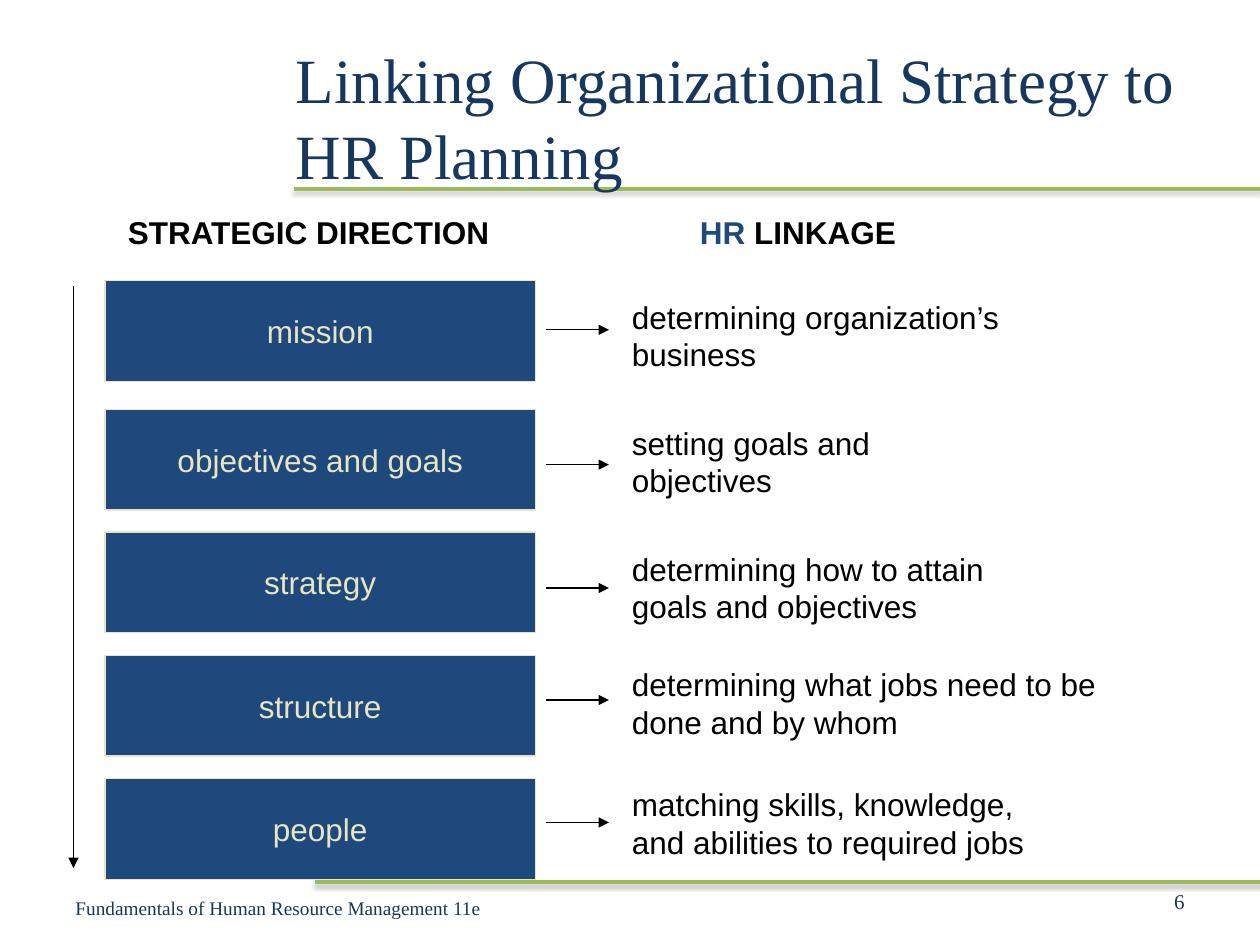
from dataclasses import dataclass

from lxml import etree
from pptx import Presentation
from pptx.dml.color import RGBColor
from pptx.enum.shapes import MSO_CONNECTOR as Connector, MSO_SHAPE as Shape
from pptx.enum.text import MSO_ANCHOR as Anchor, MSO_AUTO_SIZE as AutoSize, PP_ALIGN as Align
from pptx.oxml.ns import qn
from pptx.util import Pt


@dataclass(frozen=True)
class Theme:
    navy: str = "17375E"
    blue: str = "1F497D"
    cream: str = "E6E6C2"
    green: str = "9BBB59"
    black: str = "000000"
    serif: str = "Times New Roman"
    sans: str = "Arial"
    title_size: int = 36
    body_size: int = 18
    number_size: int = 12
    footer_size: int = 11
    rule_width: float = 2
    thin_width: float = 0.75


THEME = Theme()

# Strategic step, its box top, HR linkage, text top, text width, arrow height
STEPS = [
    ("mission", 160.5, "determining organization’s business", 166.5, 270, 188.5),
    ("objectives and goals", 234, "setting goals and objectives", 238.5, 222, 265.5),
    ("strategy", 304, "determining how to attain goals and objectives", 310.5, 246, 336),
    ("structure", 374.5, "determining what jobs need to be done and by whom", 376.5, 282, 400),
    ("people", 445, "matching skills, knowledge, and abilities to required jobs", 445, 252, 470),
]


def write(shape, text, *, color=THEME.black, size=THEME.body_size, font=THEME.sans,
          bold=False, align=Align.LEFT, anchor=Anchor.TOP, wrap=True, grow=False):
    """Fill a shape with text; a list of (text, color) pairs gives coloured runs."""
    frame = shape.text_frame
    frame.word_wrap = wrap
    frame.auto_size = AutoSize.SHAPE_TO_FIT_TEXT if grow else AutoSize.NONE
    frame.vertical_anchor = anchor
    paragraph = frame.paragraphs[0]
    paragraph.alignment = align
    for words, run_color in [(text, color)] if isinstance(text, str) else text:
        run = paragraph.add_run()
        run.text = words
        run.font.name = font
        run.font.size = Pt(size)
        run.font.bold = bold
        run.font.color.rgb = RGBColor.from_string(run_color)


def add_text(shapes, box, text, **style):
    write(shapes.add_textbox(*map(Pt, box)), text, **style)


def add_line(shapes, start, end, color, width):
    """Draw a line and return it with its empty effect list."""
    line = shapes.add_connector(Connector.STRAIGHT, *map(Pt, (*start, *end)))
    line.line.color.rgb = RGBColor.from_string(color)
    line.line.width = Pt(width)
    effects = etree.SubElement(line._element.spPr, qn("a:effectLst"))
    return line, effects


def add_arrow(shapes, start, end):
    line, _ = add_line(shapes, start, end, THEME.black, THEME.thin_width)
    etree.SubElement(line.line._get_or_add_ln(), qn("a:tailEnd"), type="triangle")


def add_rule(shapes, left, right, top):
    """Draw a green rule with a soft shadow below it."""
    _, effects = add_line(shapes, (left, top), (right, top), THEME.green, THEME.rule_width)
    shadow = etree.SubElement(
        effects, qn("a:outerShdw"), blurRad=str(Pt(3.1)), dist=str(Pt(1.6)),
        dir="5400000", rotWithShape="0")
    color = etree.SubElement(shadow, qn("a:srgbClr"), val=THEME.black)
    etree.SubElement(color, qn("a:alpha"), val="38000")


def add_header(shapes, box):
    add_text(shapes, box, "Linking Organizational Strategy to HR Planning",
             color=THEME.navy, size=THEME.title_size, font=THEME.serif, anchor=Anchor.MIDDLE)


def add_footer(shapes, box):
    left, top, width, height = box
    style = dict(color=THEME.navy, font=THEME.serif, anchor=Anchor.MIDDLE)
    add_text(shapes, (left, top, 270, height),
             "Fundamentals of Human Resource Management 11e", size=THEME.footer_size, **style)
    number_width = 168
    add_text(shapes, (left + width - number_width, top - 3.5, number_width, height), "6",
             size=THEME.number_size, align=Align.RIGHT, **style)


def add_strategy_column(shapes, box):
    left, top, width, height = box
    add_text(shapes, (left + 6, top, width, 29), "STRATEGIC DIRECTION", bold=True, grow=True)
    for name, step_top, *_ in STEPS:
        step = shapes.add_shape(Shape.RECTANGLE, *map(Pt, (left, step_top, width, 57.5)))
        step.shadow.inherit = False
        step.fill.solid()
        step.fill.fore_color.rgb = RGBColor.from_string(THEME.blue)
        step.line.color.rgb = RGBColor.from_string(THEME.cream)
        step.line.width = Pt(THEME.thin_width)
        write(step, name, color=THEME.cream, align=Align.CENTER,
              anchor=Anchor.MIDDLE, wrap=False)
    add_arrow(shapes, (left - 18, top + 45.5), (left - 18, top + height))


def add_linkage_column(shapes, box):
    left, top, width, _ = box
    add_text(shapes, (left + 36, top, width, 29),
             [("HR ", THEME.blue), ("LINKAGE", THEME.black)],
             bold=True, align=Align.CENTER, grow=True)
    for _, _, linkage, text_top, text_width, arrow_top in STEPS:
        group = slide_group(shapes)
        add_text(group, (left + 42, text_top, text_width, 50.5), linkage, grow=True)
        add_arrow(group, (left, arrow_top), (left + 36, arrow_top))


def slide_group(shapes):
    return shapes.add_group_shape().shapes


def main():
    presentation = Presentation()
    presentation.slide_width, presentation.slide_height = Pt(720), Pt(540)
    slide = presentation.slides.add_slide(presentation.slide_layouts[6])
    shapes = slide.shapes
    add_rule(shapes, 168, 720, 108)
    add_rule(shapes, 180, 720, 504)
    add_header(shapes, (162, 21.5, 522, 90))
    add_footer(shapes, (36, 504, 648, 29))
    add_strategy_column(shapes, (60, 118, 246, 378))
    add_linkage_column(shapes, (312, 118, 216, 378))
    presentation.save("out.pptx")


if __name__ == "__main__":
    main()
